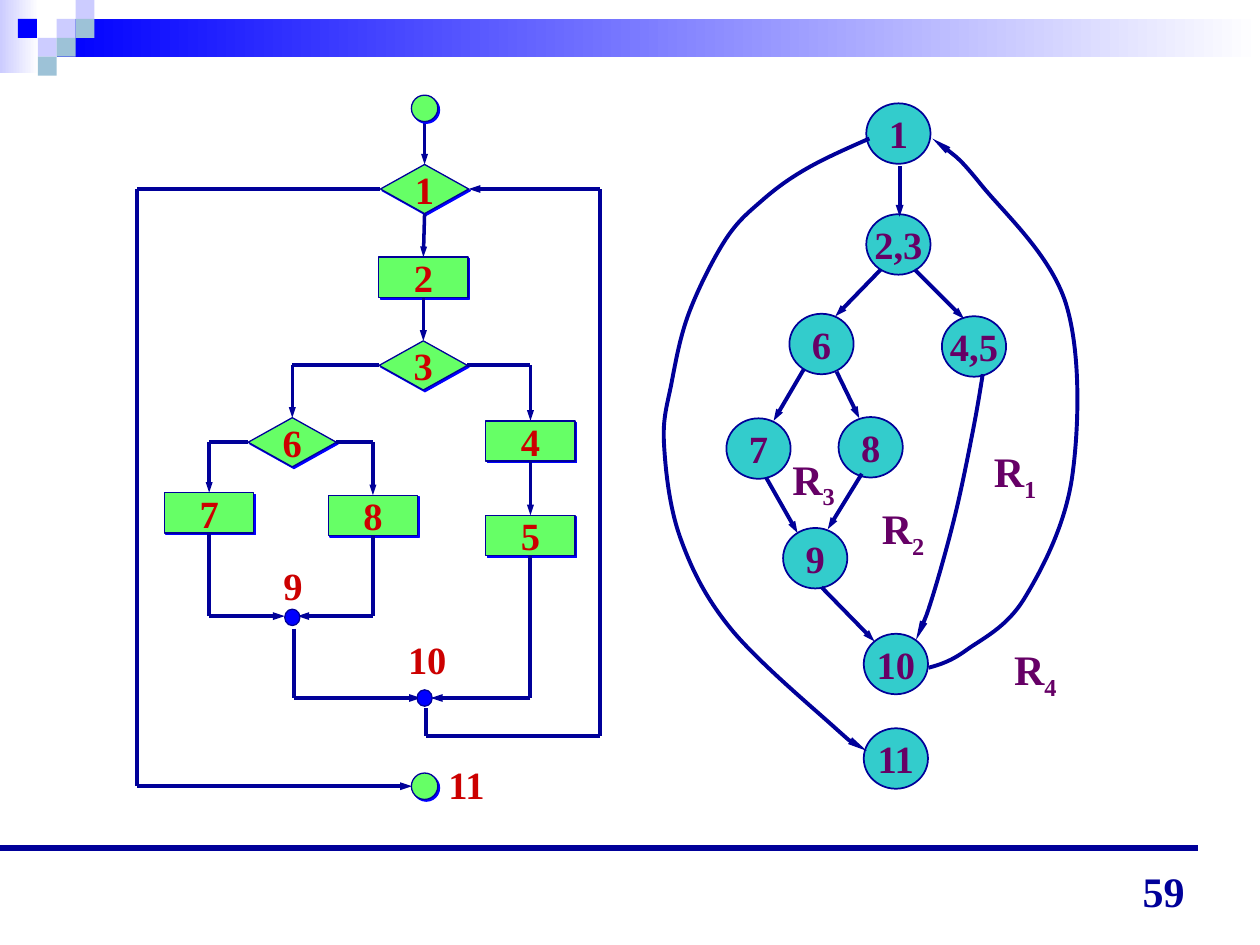
from lxml import etree
from pptx import Presentation
from pptx import util as u
from pptx.dml.color import RGBColor
from pptx.enum import shapes, text
from pptx.oxml.ns import qn

FONT = "Times New Roman"
NAVY, BLUE, LILAC, STEEL = "000099", "0000FF", "CCCCFF", "9DC2D7"
GREEN, RED, TEAL, PURPLE = "66FF66", "CC0000", "33CCCC", "660066"
SHAPE = shapes.MSO_SHAPE
SIDES = ["top", "left", "bottom", "right"]
DIAMOND, BOX, CIRCLE = (0.7, 0.39), (0.71, 0.32), (0.51, 0.48)


def rgb(value):
    return RGBColor.from_string(value)


def sub(parent, tag, **attributes):
    return etree.SubElement(parent, qn(tag), attributes)


def add_run(p, words, size, color):
    r = p.add_run()
    r.text = words
    r.font.name, r.font.size, r.font.bold = FONT, u.Pt(size), True
    r.font.color.rgb = rgb(color)
    return r


def style_line(sp, width, arrow=None):
    """Navy line without shadow; arrow is the length of the head at its end."""
    sp.line.color.rgb = rgb(NAVY)
    sp.line.width = u.Pt(width)
    if arrow:
        sub(sp.line._get_or_add_ln(), "a:tailEnd", type="triangle", w="sm", len=arrow)
    if sp._element.spPr.find(qn("a:effectLst")) is None:
        sub(sp._element.spPr, "a:effectLst")


def add_shape(s, kind, left, top, width, height, fill):
    sp = s.shapes.add_shape(kind, *map(u.Inches, (left, top, width, height)))
    sp.shadow.inherit = False
    sp.line.fill.background()
    if isinstance(fill, str):
        sp.fill.solid()
        sp.fill.fore_color.rgb = rgb(fill)
    else:
        sp.fill.gradient()
        sp.fill.gradient_angle = 180
        for stop, color in zip(sp.fill.gradient_stops, fill):
            stop.color.rgb = rgb(color)
    return sp


def add_node(s, kind, center, size, fill, label="", color=RED, line=0.75, shadow=False):
    (x, y), (w, h) = center, size
    sp = add_shape(s, kind, x - w / 2, y - h / 2, w, h, fill)
    sp.line.color.rgb = rgb(NAVY)
    sp.line.width = u.Pt(line)
    if shadow:
        effects = sp._element.spPr.find(qn("a:effectLst"))
        outer = sub(effects, "a:outerShdw", dist=str(u.Pt(1.4)), dir="2700000",
                    algn="ctr", rotWithShape="0")
        sub(outer, "a:srgbClr", val=BLUE)
    if label:
        tf = sp.text_frame
        tf.word_wrap = False
        tf.vertical_anchor = text.MSO_ANCHOR.MIDDLE
        p = tf.paragraphs[0]
        p.alignment = text.PP_ALIGN.CENTER
        add_run(p, label, 22, color)
    return sp


def add_label(s, left, top, width, height, words, size, color, subscript=""):
    tf = s.shapes.add_textbox(*map(u.Inches, (left, top, width, height))).text_frame
    tf.word_wrap = False
    tf.auto_size = text.MSO_AUTO_SIZE.SHAPE_TO_FIT_TEXT
    add_run(tf.paragraphs[0], words, size, color)
    if subscript:
        r = add_run(tf.paragraphs[0], subscript, size, color)
        r.font._element.set("baseline", "-25000")


def add_route(s, nodes, *stops):
    """Join stops, each a point or a 'node side', with an arrow at the last."""
    for i, (start, end) in enumerate(zip(stops, stops[1:])):
        points = [(0, 0) if isinstance(stop, str) else stop for stop in (start, end)]
        c = s.shapes.add_connector(shapes.MSO_CONNECTOR.STRAIGHT,
                                   *(u.Inches(v) for point in points for v in point))
        for stop, connect in ((start, c.begin_connect), (end, c.end_connect)):
            if isinstance(stop, str):
                name, side = stop.split()
                connect(nodes[name], SIDES.index(side))
        into_top = isinstance(end, str) and end.endswith("top")
        style_line(c, 2 if into_top else 2.25, "med" if i == len(stops) - 2 else None)


def add_curve(s, *knots):
    """Smooth arrow through the knots, with tangents set by their neighbours."""
    points = [(u.Inches(x), u.Inches(y)) for x, y in knots]
    builder = s.shapes.build_freeform(*points[0])
    builder.add_line_segments(points[1:], close=False)
    sp = builder.convert_to_shape()
    sp.fill.background()
    style_line(sp, 2.25, "lg")
    element = sp._element
    local = [(int(pt.get("x")), int(pt.get("y"))) for pt in element.iter(qn("a:pt"))]
    last = len(local) - 1

    def control(i, sign):
        return [v + sign * (b - a) / 6
                for a, v, b in zip(local[i - 1], local[i], local[i + 1])]

    def middle(a, b):
        return [(v + w) / 2 for v, w in zip(a, b)]

    for i, segment in enumerate(list(element.iter(qn("a:lnTo")))):
        c1 = control(i, 1) if i else middle(local[0], control(1, -1))
        c2 = control(i + 1, -1) if i + 1 < last else middle(local[last], c1)
        bezier = etree.Element(qn("a:cubicBezTo"))
        for x, y in (c1, c2, local[i + 1]):
            sub(bezier, "a:pt", x=str(round(x)), y=str(round(y)))
        segment.getparent().replace(segment, bezier)


def add_frame(s):
    add_shape(s, SHAPE.RECTANGLE, 0, 0, 0.31, 0.58, ("FFFFFF", LILAC))
    add_shape(s, SHAPE.RECTANGLE, 0.45, 0.15, 9.55, 0.3, ("FFFFFF", BLUE))
    tile = 0.15
    for column, row, color in ((3, 1, LILAC), (4, 0, LILAC), (4, 1, STEEL), (2, 2, LILAC),
                               (0.95, 1, BLUE), (3, 2, STEEL), (2, 3, STEEL)):
        add_shape(s, SHAPE.RECTANGLE, column * tile, row * tile, tile, tile, color)
    rule = s.shapes.add_connector(shapes.MSO_CONNECTOR.STRAIGHT, 0, u.Inches(6.73),
                                  u.Inches(9.51), u.Inches(6.73))
    style_line(rule, 3.25)
    box = s.shapes.add_textbox(*map(u.Inches, (7.17, 6.82, 2.33, 0.5)))
    tf = box.text_frame
    tf.word_wrap = True
    tf.vertical_anchor = text.MSO_ANCHOR.BOTTOM
    tf.paragraphs[0].alignment = text.PP_ALIGN.RIGHT
    add_run(tf.paragraphs[0], "59", 24, NAVY)


def add_flowchart(s):
    steps = {"1": (3.37, 1.5), "2": (3.36, 2.2), "3": (3.36, 2.9), "4": (4.21, 3.5),
             "5": (4.21, 4.25), "6": (2.32, 3.51), "7": (1.66, 4.07), "8": (2.96, 4.09)}
    nodes = {}
    for name, center in steps.items():
        kind, size = (SHAPE.DIAMOND, DIAMOND) if name in "136" else (SHAPE.RECTANGLE, BOX)
        nodes[name] = add_node(s, kind, center, size, GREEN, name, shadow=True)
    for stops in (
        ((3.37, 0.92), "1 top"), ("1 bottom", "2 top"), ("2 bottom", "3 top"),
        ("4 bottom", "5 top"),
        ("3 left", (2.32, 2.9), "6 top"), ("3 right", (4.21, 2.9), "4 top"),
        ("6 left", (1.66, 3.51), "7 top"), ("6 right", (2.96, 3.51), "8 top"),
        ("7 bottom", (1.66, 4.89), (2.26, 4.89)),
        ("8 bottom", (2.96, 4.89), (2.36, 4.89)),
        ("5 bottom", (4.21, 5.54), (3.42, 5.54)),
        ((2.33, 4.99), (2.33, 5.54), (3.34, 5.54)),
        ((3.38, 5.62), (3.38, 5.84), (4.76, 5.84), (4.76, 1.5), "1 right"),
        ("1 left", (1.09, 1.5), (1.09, 6.24), (3.27, 6.24)),
    ):
        add_route(s, nodes, *stops)
    for center in ((2.32, 4.9), (3.37, 5.54)):
        add_node(s, SHAPE.OVAL, center, (0.12, 0.13), BLUE)
    for center in ((3.37, 0.86), (3.37, 6.24)):
        add_node(s, SHAPE.OVAL, center, (0.21, 0.21), GREEN, shadow=True)
    for left, top, width, words in ((2.15, 4.41, 0.37, "9"), (3.14, 5, 0.53, "10"),
                                    (3.46, 5.99, 0.53, "11")):
        add_label(s, left, top, width, 0.47, words, 22, RED)


def add_flow_graph(s):
    for name, center in {"1": (7.13, 1.06), "2,3": (7.13, 1.94), "6": (6.52, 2.73),
                         "4,5": (7.73, 2.75), "7": (6.02, 3.56), "8": (6.91, 3.55),
                         "9": (6.47, 4.43), "10": (7.11, 5.27), "11": (7.11, 6.02)}.items():
        add_node(s, SHAPE.OVAL, center, CIRCLE, TEAL, name, PURPLE, line=1)
    for edge in (((7.14, 1.32), (7.14, 1.72)), ((6.99, 2.14), (6.63, 2.51)),
                 ((7.26, 2.14), (7.65, 2.53)), ((6.38, 2.93), (6.14, 3.34)),
                 ((6.64, 2.95), (6.82, 3.32)), ((6.84, 3.76), (6.57, 4.2)),
                 ((6.08, 3.79), (6.33, 4.23)), ((6.52, 4.66), (6.94, 5.09))):
        add_route(s, {}, *edge)
    add_curve(s, (6.9, 1.1), (6.4, 1.34), (6.05, 1.59), (5.76, 1.9), (5.47, 2.48),
              (5.33, 3.04), (5.27, 3.52), (5.4, 4.27), (5.8, 4.99), (6.62, 5.77), (6.88, 5.96))
    add_curve(s, (7.8, 2.97), (7.72, 3.43), (7.58, 4.09), (7.4, 4.74), (7.27, 5.08))
    add_curve(s, (7.37, 5.3), (7.67, 5.16), (8.13, 4.75), (8.51, 3.78), (8.46, 2.41),
              (7.79, 1.47), (7.4, 1.1))
    for region, left, top in (("1", 7.79, 3.49), ("2", 6.9, 3.94),
                              ("3", 6.19, 3.55), ("4", 7.95, 5.06)):
        add_label(s, left, top, 0.54, 0.56, "R", 24, PURPLE, region)


def main():
    prs = Presentation()
    prs.slide_width, prs.slide_height = u.Inches(10), u.Inches(7.5)
    s = prs.slides.add_slide(prs.slide_layouts[6])
    add_frame(s)
    add_flowchart(s)
    add_flow_graph(s)
    prs.save("out.pptx")


if __name__ == "__main__":
    main()
